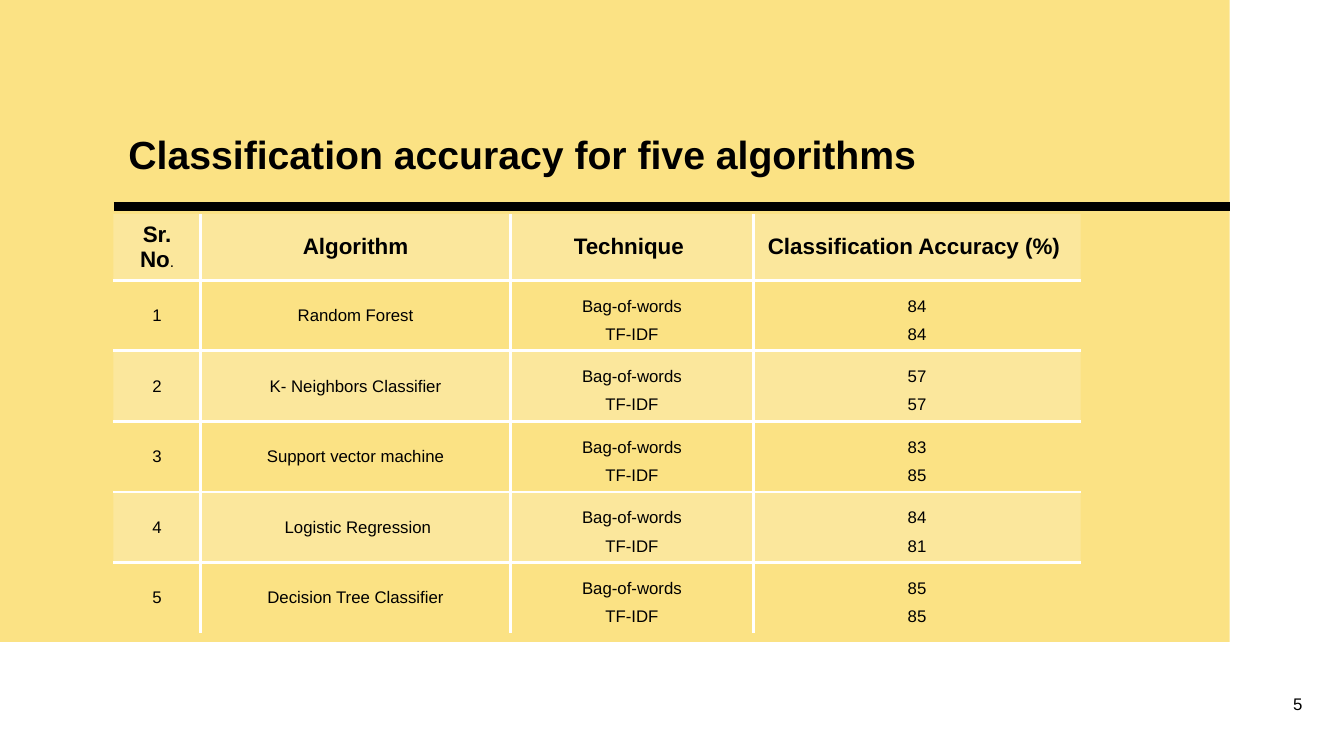
from lxml import etree
from pptx import Presentation
from pptx.dml.color import RGBColor
from pptx.enum.shapes import MSO_CONNECTOR, MSO_SHAPE
from pptx.enum.text import MSO_ANCHOR, PP_ALIGN
from pptx.oxml.ns import qn
from pptx.util import Pt

LINE, RECT = MSO_CONNECTOR.STRAIGHT, MSO_SHAPE.RECTANGLE
MID, LOW = MSO_ANCHOR.MIDDLE, MSO_ANCHOR.BOTTOM
LEFT, MID_X, RIGHT = PP_ALIGN.LEFT, PP_ALIGN.CENTER, PP_ALIGN.RIGHT
HUES = {"panel": "FBE284", "ink": "000000", "grid": "FFFFFF"}
TITLE = {"size": Pt(28), "bold": True}
HEAD = {"size": Pt(16), "bold": True}
DOT = {"size": Pt(11), "bold": False}
BODY = {"size": Pt(12), "bold": False}
WIDTHS = [62.4, 221.2, 173.6, 233.8]
HEADS = ["Sr. No", "Algorithm", "Technique ", "Classification Accuracy (%) "]
SCORES = [
    ("Random Forest", 84, 84),
    ("K- Neighbors Classifier", 57, 57),
    ("Support vector machine", 83, 85),
    ("\u00a0Logistic Regression", 84, 81),
    ("Decision Tree Classifier", 85, 85),
]


def hue(name):
    return RGBColor.from_string(HUES[name])


def style(item, form):
    for key, value in form.items():
        setattr(item, key, value)


def add_run(para, text, form):
    run = para.add_run()
    run.text = text
    style(run.font, {"name": "Arial", **form})
    run.font.color.rgb = hue("ink")


def write(frame, lines, form, para_form):
    for i, text in enumerate(lines):
        para = frame.add_paragraph() if i else frame.paragraphs[0]
        style(para, para_form)
        add_run(para, text, form)


def add_text(slide, box, text, form, para_form, frame_form):
    frame = slide.shapes.add_textbox(*map(Pt, box)).text_frame
    style(frame, {"word_wrap": True, **frame_form})
    write(frame, [text], form, para_form)


def add_panel(slide, box):
    x, y, w, h = box
    panel = slide.shapes.add_shape(RECT, *map(Pt, box))
    panel.shadow.inherit = False
    panel.fill.solid()
    panel.fill.fore_color.rgb = hue("panel")
    panel.line.fill.background()
    rule = slide.shapes.add_connector(
        LINE, Pt(x + 81.4), Pt(y + 147.6), Pt(x + w), Pt(y + 147.6))
    rule.line.width = Pt(6)
    rule.line.color.rgb = hue("ink")
    etree.SubElement(rule._element.spPr, qn("a:effectLst"))


def add_title(slide, box):
    frame_form = {"vertical_anchor": LOW, "margin_left": Pt(11), "margin_right": 0,
                  "margin_top": 0, "margin_bottom": Pt(2.5)}
    add_text(slide, box, "Classification accuracy for five algorithms", TITLE,
             {"alignment": LEFT, "line_spacing": 0.9}, frame_form)


def add_edge(props, tag, shown):
    edge = etree.SubElement(props, qn(tag), w=str(Pt(2.25)))
    if shown:
        fill = etree.SubElement(edge, qn("a:solidFill"))
        etree.SubElement(fill, qn("a:srgbClr"), val=HUES["grid"])
    else:
        etree.SubElement(edge, qn("a:noFill"))


def paint(cell, row, col, rows, cols):
    cell.vertical_anchor = MID
    props = cell._tc.get_or_add_tcPr()
    add_edge(props, "a:lnL", col > 0)
    add_edge(props, "a:lnR", col < cols - 1)
    add_edge(props, "a:lnT", row > 0)
    add_edge(props, "a:lnB", row < rows - 1)
    if row % 2:
        cell.fill.background()
    else:
        cell.fill.solid()
        cell.fill.fore_color.rgb = hue("grid")
        tint = props.find(qn("a:solidFill"))[0]
        etree.SubElement(tint, qn("a:alpha"), val="20000")


def add_grid(slide, box):
    data = [[[head] for head in HEADS]]
    for i, (name, bag, idf) in enumerate(SCORES, 1):
        data.append([[str(i)], [name], ["Bag-of-words", "TF-IDF"], [str(bag), str(idf)]])
    rows, cols = len(data), len(HEADS)
    table = slide.shapes.add_table(rows, cols, *map(Pt, box)).table
    style(table, {"first_row": False, "horz_banding": False})
    for col, width in zip(table.columns, WIDTHS):
        col.width = Pt(width)
    for r, line in enumerate(data):
        table.rows[r].height = Pt(box[3] / rows)
        for c, texts in enumerate(line):
            cell = table.cell(r, c)
            space = 1.5 if len(texts) > 1 else 1.0
            write(cell.text_frame, texts, BODY if r else HEAD,
                  {"alignment": MID_X, "line_spacing": space})
            paint(cell, r, c, rows, cols)
    add_run(table.cell(0, 0).text_frame.paragraphs[0], ".", DOT)


def add_page(slide, box):
    add_text(slide, box, "5", BODY, {"alignment": RIGHT}, {"vertical_anchor": MID})


deck = Presentation()
style(deck, {"slide_width": Pt(960), "slide_height": Pt(540)})
slide = deck.slides.add_slide(deck.slide_layouts[6])
add_panel(slide, (0, 0, 878.4, 458.6))
add_title(slide, (80.8, 78.5, 794.9, 51.1))
add_grid(slide, (81, 152.7, sum(WIDTHS), 285))
add_page(slide, (905, 495.4, 32.4, 14.4))
deck.save("out.pptx")
